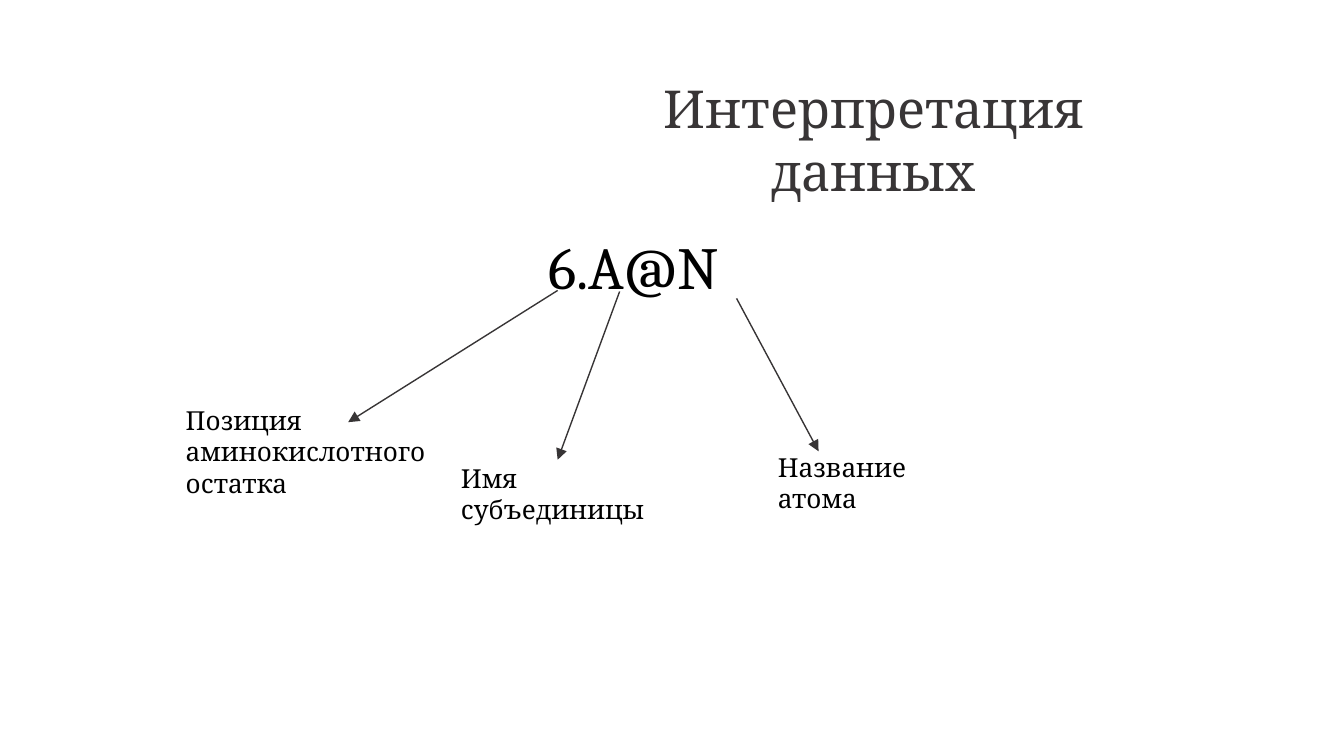
from lxml import etree
from pptx import Presentation
from pptx import util as u
from pptx.dml.color import RGBColor
from pptx.enum import shapes, text
from pptx.oxml import ns

BLACK = RGBColor(0x00, 0x00, 0x00)
TITLE_GREY = RGBColor(0x38, 0x35, 0x36)
ARROW_GREY = RGBColor(0x37, 0x34, 0x35)
FONT = "Cambria"

# Label text, its box, arrow start, arrow end and arrow colour (cm)
CODE_PARTS = [
    ("Позиция аминокислотного остатка", (3.26, 7.52, 5.2, 2.06),
     (10.54, 5.49), (6.58, 7.98), TITLE_GREY),
    ("Имя субъединицы", (8.46, 8.61, 4.85, 0.86),
     (11.71, 5.51), (10.54, 8.69), ARROW_GREY),
    ("Название атома", (14.45, 8.41, 4.29, 0.86),
     (13.92, 5.64), (15.47, 8.53), ARROW_GREY),
]


def add_text(s, content, box, size=14, color=BLACK, align=None, inset=None, grow=True):
    """Add a wrapped text box; box is left, top, width, height in cm."""
    sp = s.shapes.add_textbox(*map(u.Cm, box))
    tf = sp.text_frame
    tf.word_wrap = True
    tf.auto_size = (text.MSO_AUTO_SIZE.SHAPE_TO_FIT_TEXT if grow
                    else text.MSO_AUTO_SIZE.NONE)
    if inset is not None:
        tf.margin_left = tf.margin_right = u.Cm(inset)
        tf.margin_top = tf.margin_bottom = u.Cm(inset)
    p = tf.paragraphs[0]
    p.alignment = align
    r = p.add_run()
    r.text = content
    r.font.name = FONT
    r.font.size = u.Pt(size)
    r.font.color.rgb = color
    return sp


def add_arrow(s, start, end, color):
    """Add a thin straight arrow from start to end, both in cm."""
    sp = s.shapes.add_connector(shapes.MSO_CONNECTOR.STRAIGHT,
                                *map(u.Cm, start + end))
    sp.line.color.rgb = color
    sp.line.width = u.Pt(0.75)
    ln = sp.line._get_or_add_ln()
    etree.SubElement(ln, ns.qn("a:tailEnd"), type="triangle")
    etree.SubElement(sp._element.spPr, ns.qn("a:effectLst"))
    return sp


def main():
    """Build the slide and save it."""
    prs = Presentation()
    prs.slide_width, prs.slide_height = u.Cm(25.4), u.Cm(14.29)
    s = prs.slides.add_slide(prs.slide_layouts[6])

    add_text(s, "6.A@N", (10.11, 4.22, 4.62, 1.63), size=32)
    add_text(s, "Интерпретация данных", (10.54, 1.19, 11.94, 1.75), size=28,
             color=TITLE_GREY, align=text.PP_ALIGN.CENTER, inset=0.25, grow=False)
    for label, box, start, end, color in CODE_PARTS:
        add_arrow(s, start, end, color)
        add_text(s, label, box)

    prs.save("out.pptx")


main()
